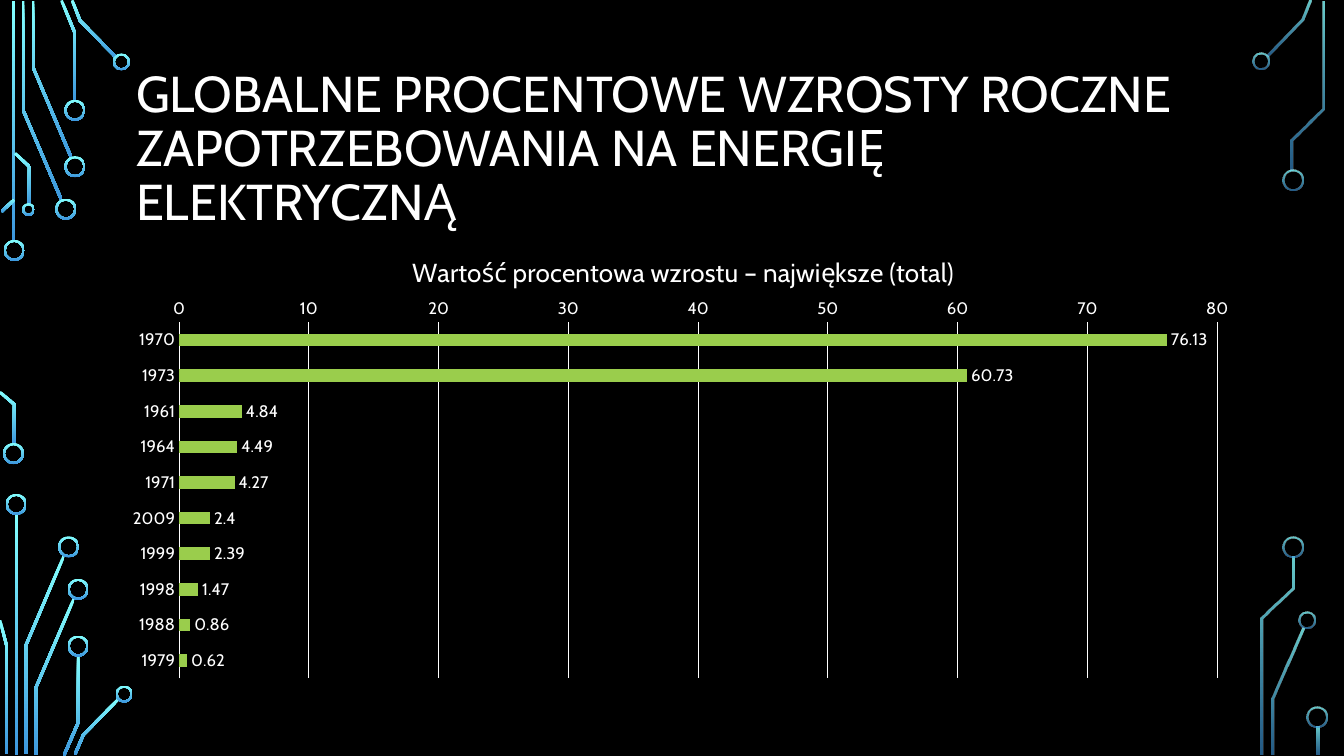
from math import hypot
from lxml import etree
from pptx import Presentation
from pptx.chart.data import CategoryChartData
from pptx.dml.color import RGBColor
from pptx.enum.chart import XL_CHART_TYPE, XL_LABEL_POSITION, XL_TICK_MARK
from pptx.enum.shapes import MSO_SHAPE
from pptx.enum.text import MSO_ANCHOR
from pptx.oxml import parse_xml
from pptx.oxml.ns import nsdecls, qn
from pptx.util import Cm, Pt

BAR = XL_CHART_TYPE.BAR_CLUSTERED
OUT = XL_LABEL_POSITION.OUTSIDE_END
NO_TICK = XL_TICK_MARK.NONE
DONUT = MSO_SHAPE.DONUT
MIDDLE = MSO_ANCHOR.MIDDLE

theme = {
    "font": "Cabin",
    "back": RGBColor.from_string("000000"),
    "text": RGBColor.from_string("FFFFFF"),
    "bar": RGBColor.from_string("9ACD4C"),
    "glow": [RGBColor.from_string("82FFFF"), RGBColor.from_string("3D97DE")],
    "head": Pt(36), "sub": Pt(18.6), "small": Pt(11.9), "line": Pt(0.75),
}
WIRE, RIM, RING = 0.07, 0.05, 0.53

# Circuit wires as centre lines, rings as centre and optional width, in cm
left = {
    "wires": [
        [(.34, .03), (.34, 6.1)],
        [(.58, .03), (.58, 2.77), (1.55, 5.04)],
        [(.83, .03), (.83, 1.69), (1.8, 3.98)],
        [(1.55, .01), (1.89, .84), (1.89, 2.54)],
        [(1.82, .01), (2.02, .52), (2.93, 1.45)],
        [(.36, 5.03), (.04, 5.33)],
        [(0, 9.88), (.36, 10.19), (.36, 11.2)],
        [(.38, 3.86), (.74, 4.2), (.74, 5.16)],
        [(.42, 12.95), (.42, 19.02)],
        [(.65, 19), (.65, 16.27), (1.61, 14.01)],
        [(.17, 19), (.17, 16.28), (0, 15.63)],
        [(.9, 19.02), (.9, 17.34), (1.87, 15.07)],
        [(1.61, 19.04), (1.97, 18.21), (1.97, 16.51)],
        [(1.89, 19.01), (2.1, 18.52), (3, 17.6)],
    ],
    "rings": [
        (.36, 6.31), (.34, 11.43), (1.66, 5.27), (1.89, 4.2), (1.89, 2.78),
        (3.06, 1.56, .43), (.72, 5.28, .32), (.41, 12.71), (1.73, 13.78),
        (1.97, 14.85), (1.97, 16.28), (3.13, 17.49, .43),
    ],
    "alpha": (100, 100),
}
right = {
    "wires": [
        [(31.93, 1.41), (32.83, .5), (33.03, .01)],
        [(32.07, 19.02), (32.07, 17.61), (32.84, 15.84)],
        [(32.56, 4.29), (32.56, 3.52), (33.34, 2.73), (33.34, .03)],
        [(31.81, 19.02), (31.81, 15.58), (32.6, 14.82), (32.6, 14.02)],
        [(33.21, 18.31), (33.21, 19.02)],
    ],
    "rings": [
        (31.79, 1.54, .43), (32.58, 4.53), (32.93, 15.63, .43),
        (32.59, 13.78), (33.18, 18.08),
    ],
    "alpha": (80, 60),
}

deck = Presentation()
deck.slide_width, deck.slide_height = Cm(33.87), Cm(19.05)
slide = deck.slides.add_slide(deck.slide_layouts[6])
slide.background.fill.solid()
slide.background.fill.fore_color.rgb = theme["back"]
shapes = slide.shapes


def paint(shape, alpha):
    """Fill from light at the top to blue at the bottom."""
    shape.shadow.inherit = False
    shape.line.fill.background()
    shape.fill.gradient()
    shape.fill.gradient_angle = 270
    for stop, color, part in zip(shape.fill.gradient_stops, theme["glow"], alpha):
        stop.color.rgb = color
        if part < 100:
            node = shape._element.spPr.findall(".//" + qn("a:srgbClr"))[-1 if color == theme["glow"][1] else 0]
            etree.SubElement(node, qn("a:alpha")).set("val", str(part * 1000))


def edge(line):
    """Outline of a wire: both sides of its centre line, with mitred bends."""
    norms = []
    for (x1, y1), (x2, y2) in zip(line, line[1:]):
        size = hypot(x2 - x1, y2 - y1)
        norms.append(((y1 - y2) / size, (x2 - x1) / size))
    near, far = [], []
    for (x, y), a, b in zip(line, norms[:1] + norms, norms + norms[-1:]):
        scale = WIRE / 2 / (1 + a[0] * b[0] + a[1] * b[1])
        dx, dy = (a[0] + b[0]) * scale, (a[1] + b[1]) * scale
        near.append((Cm(x + dx), Cm(y + dy)))
        far.append((Cm(x - dx), Cm(y - dy)))
    return near + far[::-1]


# Circuit on both sides
for side in (left, right):
    for line in side["wires"]:
        dots = edge(line)
        form = shapes.build_freeform(*dots[0])
        form.add_line_segments(dots[1:], close=True)
        paint(form.convert_to_shape(), side["alpha"])
    for x, y, *wide in side["rings"]:
        size = wide[0] if wide else RING
        ring = shapes.add_shape(DONUT, Cm(x - size / 2), Cm(y - size / 2), Cm(size), Cm(size))
        ring.adjustments[0] = RIM / size
        paint(ring, side["alpha"])

# Title
frame = shapes.add_textbox(Cm(3.18), Cm(1.73), Cm(27.51), Cm(4.11)).text_frame
frame.word_wrap = True
frame.vertical_anchor = MIDDLE
head = frame.paragraphs[0]
head.text = "GLOBALNE PROCENTOWE WZROSTY ROCZNE ZAPOTRZEBOWANIA NA ENERGIĘ ELEKTRYCZNĄ"
head.line_spacing = 0.9

# Bar chart
data = CategoryChartData()
data.categories = ["1970", "1973", "1961", "1964", "1971", "2009", "1999", "1998", "1988", "1979"]
data.add_series("Series 1", [76.13, 60.73, 4.84, 4.49, 4.27, 2.4, 2.39, 1.47, 0.86, 0.62])
chart = shapes.add_chart(BAR, Cm(2.79), Cm(5.82), Cm(28.75), Cm(11.51), data).chart
chart.has_legend = False
chart.has_title = True
sub = chart.chart_title.text_frame.paragraphs[0]
sub.text = "Wartość procentowa wzrostu – największe (total)"
sub.font.bold = False

plot = chart.plots[0]
plot.gap_width = 182
plot.vary_by_categories = False
bars = plot.series[0].format.fill
bars.solid()
bars.fore_color.rgb = theme["bar"]
plot.has_data_labels = True
labels = plot.data_labels
labels.show_value = True
labels.position = OUT

# Axes
years, scale = chart.category_axis, chart.value_axis
years.reverse_order = True
years.has_major_gridlines = False
scale.minimum_scale, scale.maximum_scale, scale.major_unit = 0, 80, 10
scale.format.line.fill.background()
for axis in (years, scale):
    axis.major_tick_mark = axis.minor_tick_mark = NO_TICK
for rule in (years.format.line, scale.major_gridlines.format.line):
    rule.color.rgb = theme["text"]
    rule.width = theme["line"]

# Fonts
for font, size in [(head.font, "head"), (sub.font, "sub"), (chart.font, "small"),
                   (labels.font, "small"), (years.tick_labels.font, "small"),
                   (scale.tick_labels.font, "small")]:
    font.name, font.size, font.color.rgb = theme["font"], theme[size], theme["text"]

# Places of the chart title and the plot, as shares of the chart
area = chart._chartSpace.find(".//" + qn("c:plotArea"))
name = chart._chartSpace.find(".//" + qn("c:title"))
for owner, spot, place in [(name, 1, {"x": .26, "y": .04}),
                           (area, 0, {"x": .06, "y": .2, "w": .91, "h": .78})]:
    for old in owner.findall(qn("c:layout")):
        owner.remove(old)
    modes = '<c:layoutTarget val="inner"/>' if owner is area else ""
    modes += '<c:xMode val="edge"/><c:yMode val="edge"/>'
    sizes = "".join(f'<c:{key} val="{val}"/>' for key, val in place.items())
    owner.insert(spot, parse_xml(
        f'<c:layout {nsdecls("c")}><c:manualLayout>{modes}{sizes}</c:manualLayout></c:layout>'))

deck.save("out.pptx")
